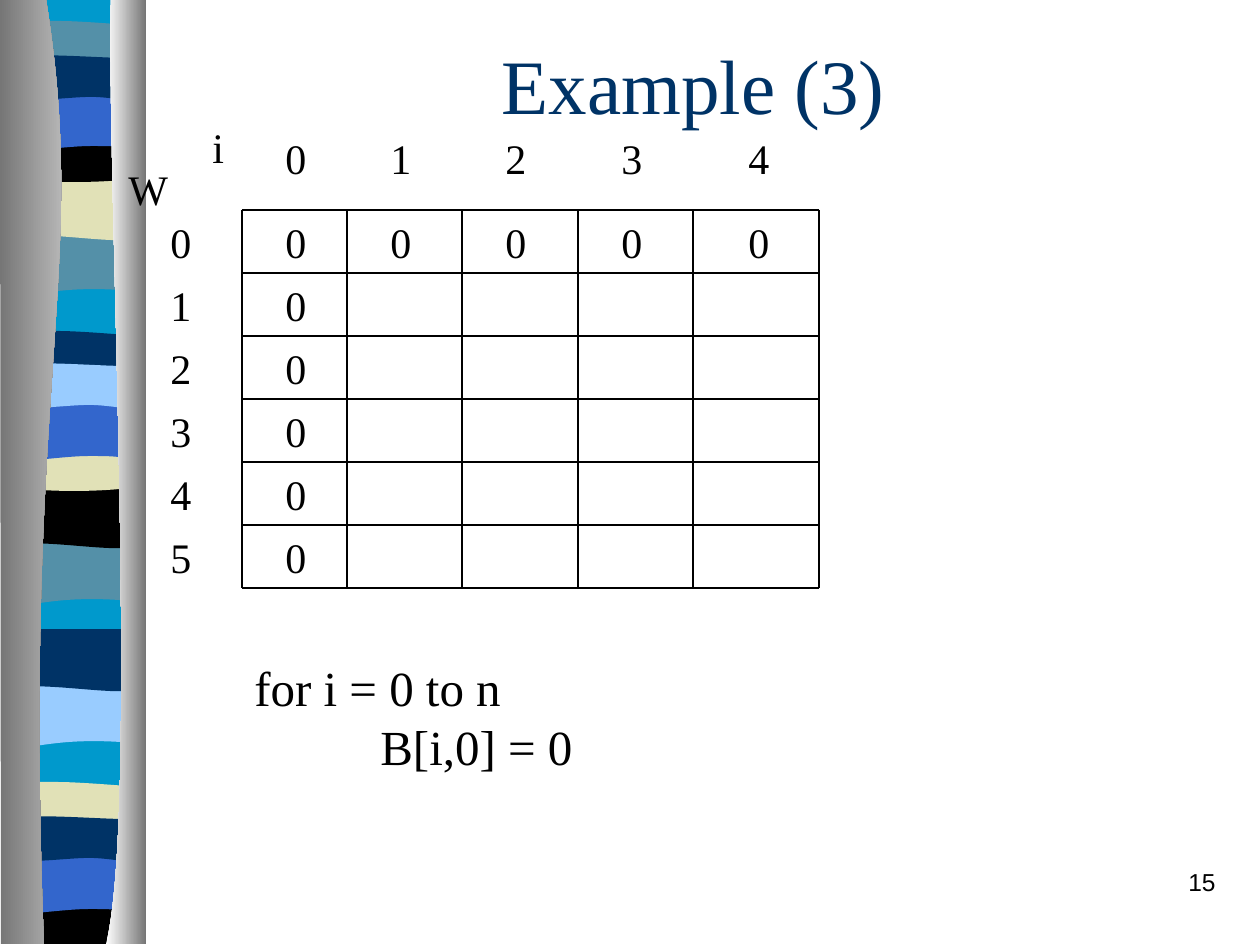
from itertools import accumulate

from lxml.etree import SubElement as Sub
from pptx import Presentation
from pptx.dml.color import RGBColor
from pptx.enum.shapes import MSO_CONNECTOR as Link
from pptx.enum.text import MSO_ANCHOR as Anchor, PP_ALIGN as Align
from pptx.oxml.ns import qn
from pptx.util import Pt

PX = 914400 / 126
SERIF = "Times New Roman"
BLACK, NAVY, BLUE, SKY = "000000", "003366", "3366CC", "99CCFF"
CYAN, TEAL, SAND = "0099CC", "5490A8", "E1E1B7"
GREY, PALE, WHITE = "767676", "D4D4D4", "FFFFFF"

# Outlines of the ribbon's bands: a pair is a corner, six numbers a curve.
BANDS = {
    "slant": [(136, 0), (136, 59), (42, 49, 23, 69, 0, 59), (0, 0)],
    "wave": [(136, 0), (136, 59), (113, 69, 42, 52, 0, 59), (0, 0)],
    "cap": [(136, 6), (136, 37), (113, 42, 23, 42, 0, 37), (0, 6),
            (8, 0, 29, 1, 52, 1), (74, 1, 118, 5, 136, 6)],
    "sag": [(136, 0), (136, 40), (113, 48, 23, 48, 0, 40), (0, 0),
            (83, 6, 107, 0, 136, 0)],
    "arch": [(136, 0), (136, 59), (115, 53, 106, 53, 83, 53),
             (60, 53, 20, 59, 0, 59), (0, 0)],
    "flat": [(136, 6), (136, 45), (127, 52, 106, 45, 83, 45),
             (60, 45, 14, 52, 0, 45), (0, 6),
             (19, 0, 92, 6, 115, 6), (137, 6, 131, 6, 136, 6)],
    "foot": [(136, 0), (136, 47), (0, 47), (0, 0), (83, 6, 107, 0, 136, 0)],
    "base": [(136, 0), (136, 943), (0, 943), (0, 0)],
}
# Kind, left, top and colour, from back to front.
RIBBON = [
    ("base", 8, -1, CYAN),
    ("slant", 8, 233, TEAL), ("wave", 8, 178, SAND), ("cap", 8, 20, TEAL),
    ("sag", 8, 136, BLACK), ("arch", 8, 93, BLUE), ("flat", 8, 52, NAVY),
    ("slant", 6, 543, TEAL), ("wave", 6, 486, BLACK), ("cap", 6, 330, NAVY),
    ("sag", 6, 445, SAND), ("arch", 6, 403, BLUE), ("flat", 6, 360, SKY),
    ("slant", 8, 685, SKY), ("wave", 8, 629, NAVY), ("cap", 6, 781, SAND),
    ("foot", 6, 897, BLACK), ("arch", 6, 856, BLUE), ("flat", 6, 813, NAVY),
]
LEFT = [(46, -1), (90, 272, 22, 373, 44, 944), (1, 944), (0, -1)]
RIGHT = [(111, -1), (106, 158, 140, 814, 106, 944), (146, 944), (146, 0)]


def emu(n):
    return round(n * PX)


def rgb(code):
    return RGBColor.from_string(code)


def bend(shape, parts):
    """Join each three steps that belong to one curve into that curve."""
    steps = iter(shape._element.findall(".//" + qn("a:lnTo")))
    for part in parts:
        first = next(steps)
        if len(part) == 6:
            first.tag = qn("a:cubicBezTo")
            for _ in range(2):
                step = next(steps)
                first.append(step[0])
                step.getparent().remove(step)


def blob(slide, path, x, y, *tones):
    """Draw an outline, filled with one colour or a blend of two."""
    pts = [(emu(x + part[k]), emu(y + part[k + 1]))
           for part in path for k in range(0, len(part), 2)]
    form = slide.shapes.build_freeform(*pts[0])
    form.add_line_segments(pts[1:], close=False)
    shape = form.convert_to_shape()
    bend(shape, path[1:])
    Sub(shape._element.find(".//" + qn("a:path")), qn("a:close"))
    shape.shadow.inherit = False
    shape.line.fill.background()
    if len(tones) == 1:
        shape.fill.solid()
        shape.fill.fore_color.rgb = rgb(tones[0])
    else:
        shape.fill.gradient()
        shape.fill.gradient_angle = 0
        for stop, tone in zip(shape.fill.gradient_stops, tones):
            stop.color.rgb = rgb(tone)


def write(slide, text, x, y, w, h, size=24, font=SERIF, color=BLACK,
          align=Align.LEFT, wrap=True, anchor=Anchor.TOP):
    """Place a text box with one paragraph for each line of text."""
    box = slide.shapes.add_textbox(emu(x), emu(y), emu(w), emu(h))
    frame = box.text_frame
    frame.word_wrap = wrap
    frame.vertical_anchor = anchor
    for k, line in enumerate(text.split("\n")):
        par = frame.add_paragraph() if k else frame.paragraphs[0]
        if "\t" in line:
            tabs = Sub(par._p.get_or_add_pPr(), qn("a:tabLst"))
            Sub(tabs, qn("a:tab"), pos=str(emu(126)), algn="l")
        par.alignment = align
        run = par.add_run()
        run.text = line
        run.font.size = Pt(size)
        run.font.name = font
        run.font.color.rgb = rgb(color)


def rule(slide, x1, y1, x2, y2):
    line = slide.shapes.add_connector(Link.STRAIGHT, emu(x1), emu(y1),
                                      emu(x2), emu(y2))
    line.line.color.rgb = rgb(BLACK)
    line.line.width = Pt(0.75)
    Sub(line._element.spPr, qn("a:effectLst"))


def ribbon(slide, x, y):
    for kind, dx, dy, tone in RIBBON:
        blob(slide, BANDS[kind], x + dx, y + dy, tone)
    blob(slide, LEFT, x, y, GREY, PALE)
    blob(slide, RIGHT, x, y, WHITE, GREY)


def grid(slide, x, y, widths, pads, rows, step):
    """Rule the grid, then fill its first row and column and number both."""
    edges = list(accumulate(widths, initial=x))
    for left in edges:
        rule(slide, left, y, left, y + rows * step)
    for r in range(rows + 1):
        rule(slide, x, y + r * step, edges[-1], y + r * step)

    def mark(text, left, top, w=45):
        write(slide, text, left, top, w, 63, wrap=False)

    for c, (left, pad) in enumerate(zip(edges, pads)):
        mark(str(c), left + pad, y - 84)
        mark("0", left + pad, y)
    for r in range(rows):
        mark(str(r), x - 84, y + r * step)
        if r:
            mark("0", x + pads[0], y + r * step)
    mark("W", x - 126, y - 53, 64)
    mark("i", x - 42, y - 95, 37)


def main():
    deck = Presentation()
    deck.slide_width, deck.slide_height = emu(1260), emu(945)
    slide = deck.slides.add_slide(deck.slide_layouts[6])
    ribbon(slide, 0, 0)
    write(slide, "15", 966, 861, 262, 63, size=14, font="Arial",
          align=Align.RIGHT)
    write(slide, "Example (3)", 158, 42, 1071, 84, size=44, color=NAVY,
          align=Align.CENTER, anchor=Anchor.MIDDLE)
    write(slide, "for i = 0 to n\n\tB[i,0] = 0", 242, 651, 472, 131, size=28)
    grid(slide, 242, 210, [105, 115, 116, 115, 126], [31, 31, 31, 31, 43],
         rows=6, step=63)
    deck.save("out.pptx")


if __name__ == "__main__":
    main()
